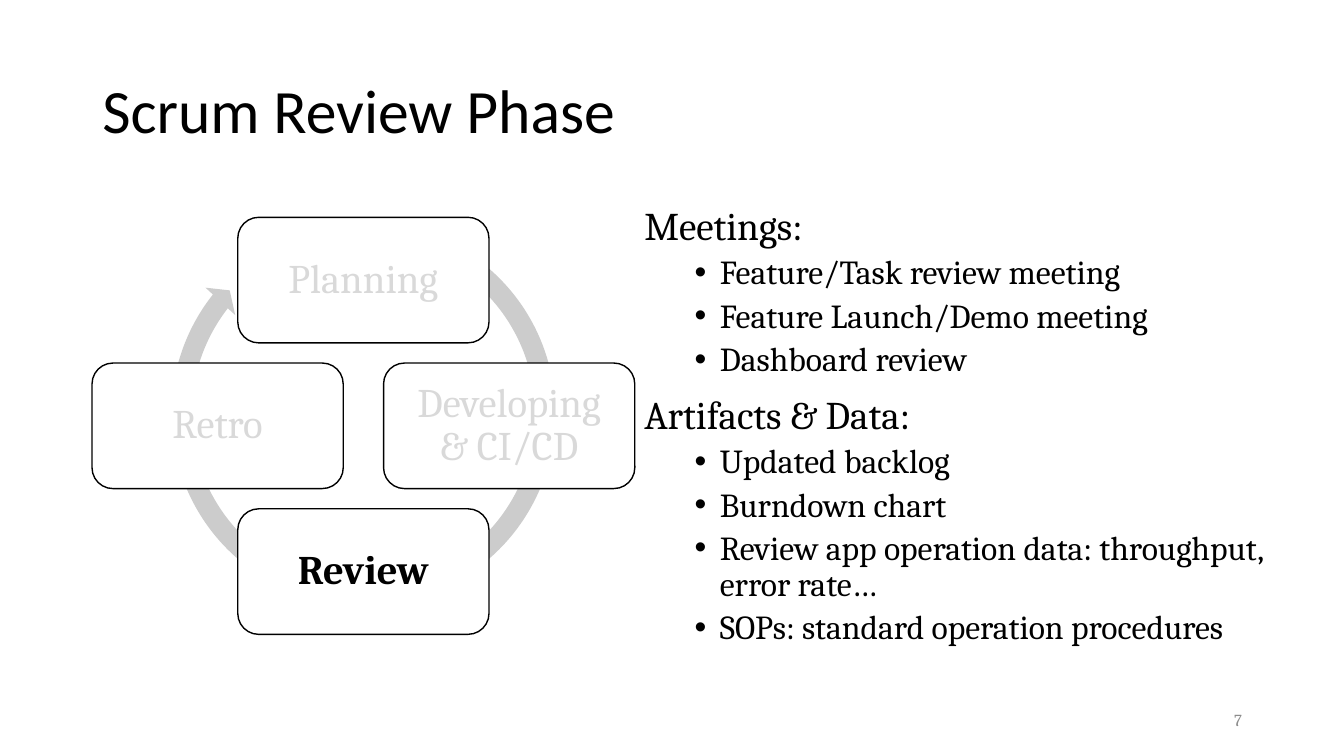
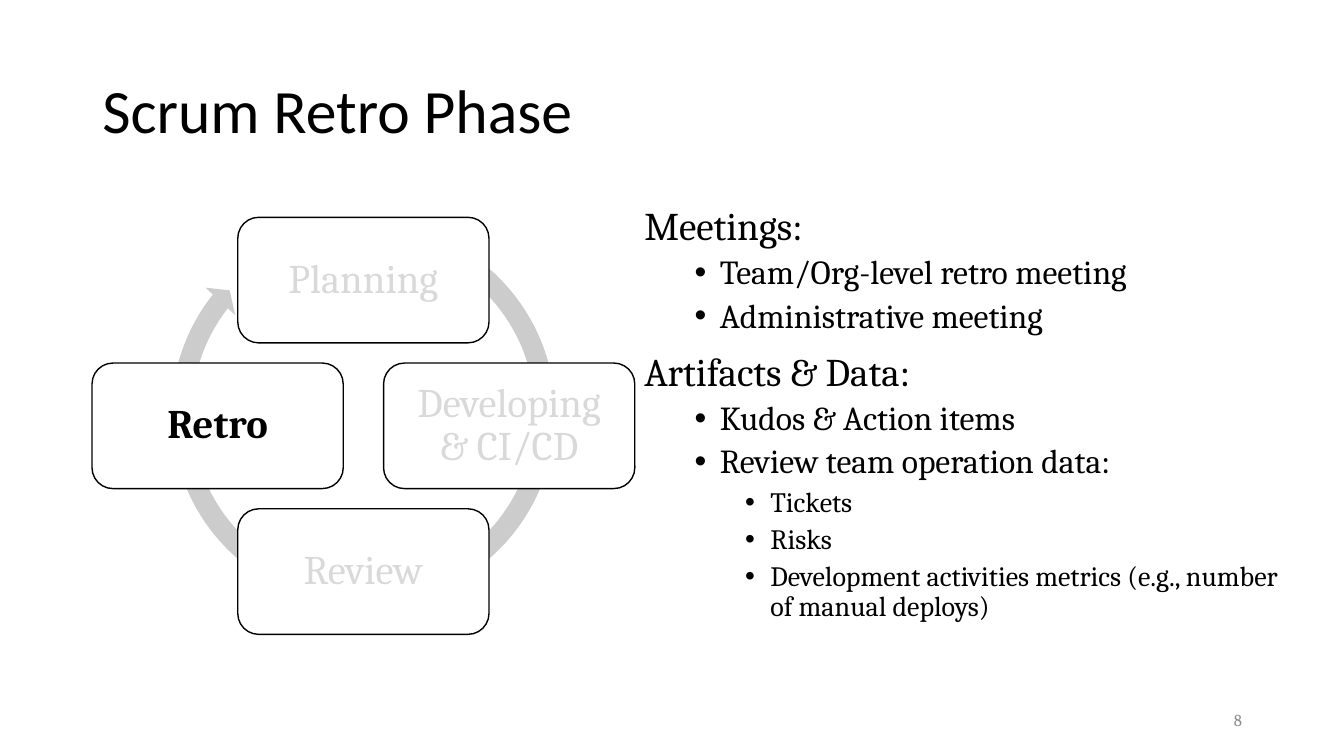
from dataclasses import dataclass

from lxml import etree
from pptx import Presentation
from pptx.dml.color import RGBColor
from pptx.enum.shapes import MSO_SHAPE
from pptx.enum.text import MSO_ANCHOR, PP_ALIGN
from pptx.oxml.ns import qn
from pptx.util import Inches, Pt

TOP, MIDDLE = MSO_ANCHOR.TOP, MSO_ANCHOR.MIDDLE
LEFT, CENTER, RIGHT = PP_ALIGN.LEFT, PP_ALIGN.CENTER, PP_ALIGN.RIGHT
ROUND_BOX, CYCLE_ARROW = MSO_SHAPE.ROUNDED_RECTANGLE, MSO_SHAPE.CIRCULAR_ARROW


@dataclass(frozen=True)
class Theme:
    heading: str = "Calibri"
    body: str = "Cambria"
    ink: RGBColor = RGBColor.from_string("000000")
    paper: RGBColor = RGBColor.from_string("FFFFFF")
    ring: RGBColor = RGBColor.from_string("CCCCCC")
    faded: RGBColor = RGBColor.from_string("D9D9D9")
    footer: RGBColor = RGBColor.from_string("8C8C8C")
    title_size: int = 44
    phase_size: int = 29
    level_sizes: tuple = (28, 24, 20)
    footer_size: int = 12


THEME = Theme()

# The slide is a grid of 160 columns by 90 rows of square cells.
prs = Presentation()
prs.slide_width, prs.slide_height = Inches(13.33), Inches(7.5)
CELL = prs.slide_height / 90

TITLE_AREA = (11, 4.8, 138, 17.4)
BODY_AREA = (75.5, 24, 80, 57.1)
NUMBER_AREA = (113, 83.4, 36, 4.8)

CYCLE_X, CYCLE_Y = 43.25, 50.7
CYCLE_STEP = 17.35
BOX_W, BOX_H = 29.9, 14.95
RING_SIZE, RING_Y = 48.1, 49.25
RING_ADJUSTMENTS = (0.05, 2.73, 130.89, 178.58, 0.05)

# Each phase lies one step from the centre of the cycle.
PHASES = [
    ("Planning", 0, -1),
    ("Developing & CI/CD", 1, 0),
    ("Review", 0, 1),
    ("Retro", -1, 0),
]

SLIDES = [
    (7, "Review", [
        (0, "Meetings:"),
        (1, "Feature/Task review meeting"),
        (1, "Feature Launch/Demo meeting"),
        (1, "Dashboard review"),
        (0, "Artifacts & Data:"),
        (1, "Updated backlog"),
        (1, "Burndown chart"),
        (1, "Review app operation data: throughput, error rate…"),
        (1, "SOPs: standard operation procedures"),
    ]),
    (8, "Retro", [
        (0, "Meetings:"),
        (1, "Team/Org-level retro meeting"),
        (1, "Administrative meeting"),
        (0, "Artifacts & Data:"),
        (1, "Kudos & Action items"),
        (1, "Review team operation data:"),
        (2, "Tickets"),
        (2, "Risks"),
        (2, "Development activities metrics (e.g., number of manual deploys)"),
    ]),
]


def cells(*lengths):
    return [round(n * CELL) for n in lengths]


def write(sp, lines, font, sizes, color, align=LEFT, anchor=MIDDLE, bold=False):
    """Fill a shape with (level, text) lines; levels below the first get bullets."""
    tf = sp.text_frame
    tf.word_wrap = True
    tf.vertical_anchor = anchor
    for i, (level, text) in enumerate(lines):
        p = tf.add_paragraph() if i else tf.paragraphs[0]
        p.text = text
        p.level = level
        p.alignment = align
        p.line_spacing = 0.9
        if len(lines) > 1:
            p.space_before = Pt(5 if level else 12 if i else 10)
        if level:
            pPr = p._p.get_or_add_pPr()
            pPr.set("marL", str(Inches(0.25 + level * 0.5)))
            pPr.set("indent", str(Inches(-0.25)))
            etree.SubElement(pPr, qn("a:buFont")).set("typeface", "Arial")
            etree.SubElement(pPr, qn("a:buChar")).set("char", "•")
        r = p.runs[0]
        r.font.name = font
        r.font.size = Pt(sizes[level])
        r.font.color.rgb = color
        r.font.bold = bold


for number, current, lines in SLIDES:
    slide = prs.slides.add_slide(prs.slide_layouts[6])
    shapes = slide.shapes

    title = shapes.add_textbox(*cells(*TITLE_AREA))
    write(title, [(0, f"Scrum {current} Phase")], THEME.heading,
          [THEME.title_size], THEME.ink)

    body = shapes.add_textbox(*cells(*BODY_AREA))
    write(body, lines, THEME.body, THEME.level_sizes, THEME.ink, anchor=TOP)

    page = shapes.add_textbox(*cells(*NUMBER_AREA))
    write(page, [(0, str(number))], THEME.body, [THEME.footer_size],
          THEME.footer, align=RIGHT)

    ring = shapes.add_shape(CYCLE_ARROW, *cells(
        CYCLE_X - RING_SIZE / 2, RING_Y - RING_SIZE / 2, RING_SIZE, RING_SIZE))
    for i, value in enumerate(RING_ADJUSTMENTS):
        ring.adjustments[i] = value
    ring.shadow.inherit = False
    ring.fill.solid()
    ring.fill.fore_color.rgb = THEME.ring
    ring.line.fill.background()

    for phase, dx, dy in PHASES:
        box = shapes.add_shape(ROUND_BOX, *cells(
            CYCLE_X + dx * CYCLE_STEP - BOX_W / 2,
            CYCLE_Y + dy * CYCLE_STEP - BOX_H / 2, BOX_W, BOX_H))
        box.shadow.inherit = False
        box.fill.solid()
        box.fill.fore_color.rgb = THEME.paper
        box.line.color.rgb = THEME.ink
        box.line.width = Pt(1)
        tf = box.text_frame
        tf.margin_left = tf.margin_right = Inches(0.12)
        tf.margin_top = tf.margin_bottom = Inches(0.12)
        active = phase == current
        write(box, [(0, phase)], THEME.body, [THEME.phase_size],
              THEME.ink if active else THEME.faded, align=CENTER, bold=active)

prs.save("out.pptx")
